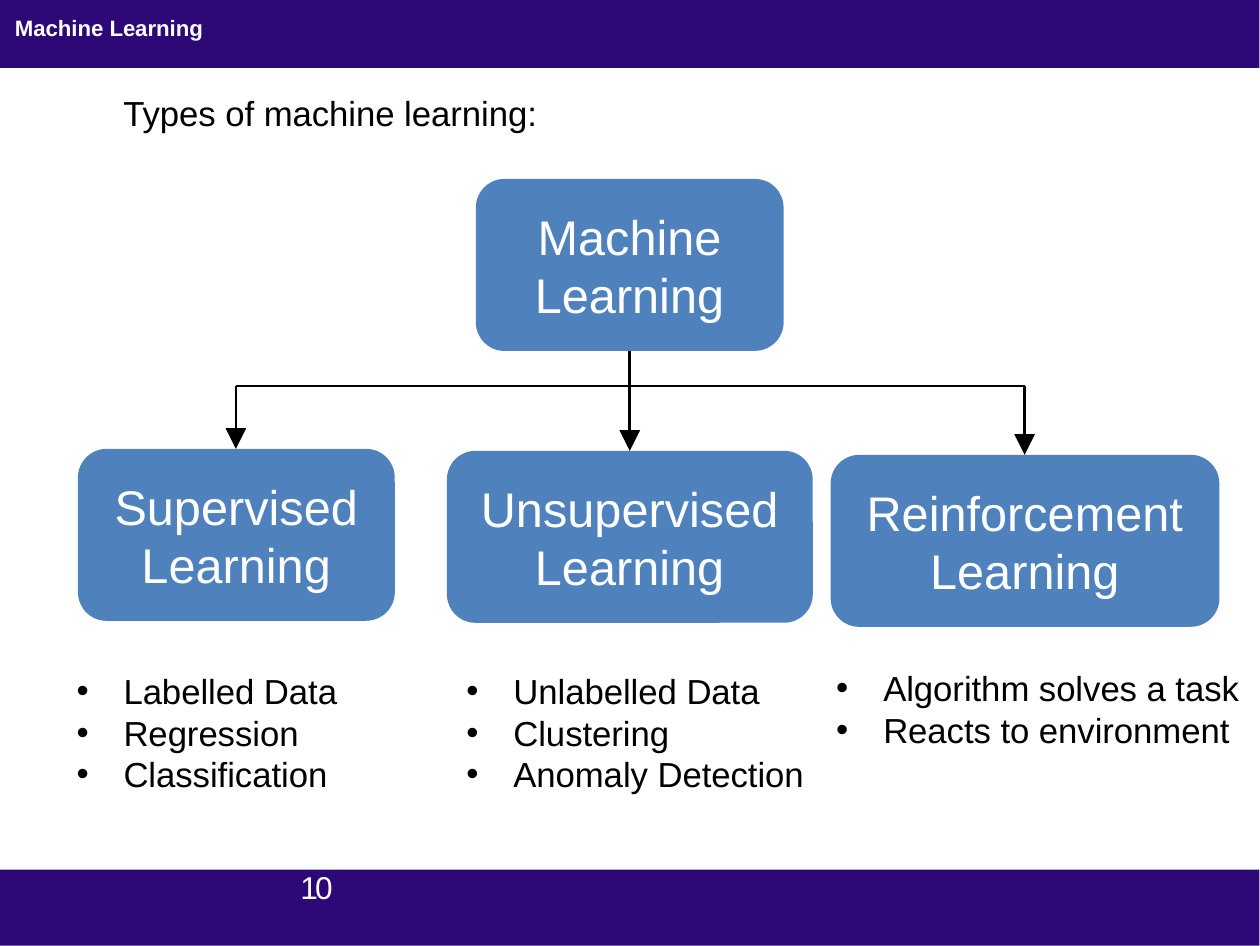
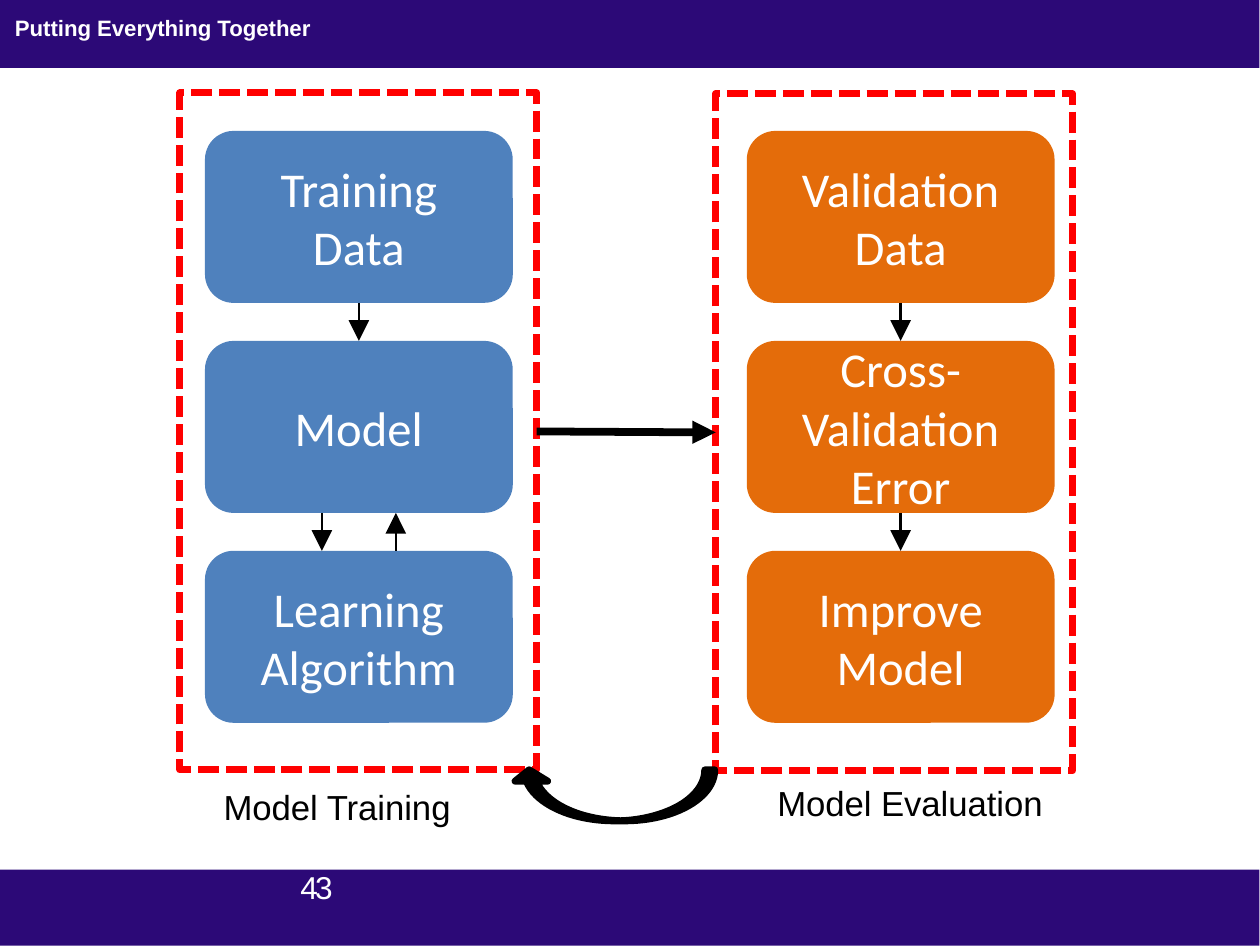
"""Build two slides on the types and the workflow of machine learning."""
from lxml import etree
from pptx import Presentation
from pptx.dml.color import RGBColor
from pptx.enum.dml import MSO_LINE
from pptx.enum.shapes import MSO_CONNECTOR, MSO_SHAPE
from pptx.enum.text import MSO_ANCHOR, MSO_AUTO_SIZE, PP_ALIGN
from pptx.oxml.ns import qn
from pptx.util import Emu, Pt

RECT, ROUND = MSO_SHAPE.RECTANGLE, MSO_SHAPE.ROUNDED_RECTANGLE
CURVED = MSO_SHAPE.CURVED_DOWN_ARROW
STRAIGHT, DASH = MSO_CONNECTOR.STRAIGHT, MSO_LINE.SQUARE_DOT
LEFT, CENTER, RIGHT = PP_ALIGN.LEFT, PP_ALIGN.CENTER, PP_ALIGN.RIGHT
TOP, MIDDLE = MSO_ANCHOR.TOP, MSO_ANCHOR.MIDDLE
SITE_TOP, SITE_LEFT, SITE_BOTTOM, SITE_RIGHT = range(4)

EMU_PER_PX = 914400 / 250
SLIDE_W, SLIDE_H = Pt(363), Pt(272.5)
INDIGO, BLUE, ORANGE, RED = "2C0977", "4F81BD", "E46C0A", "FF0000"
BLACK, WHITE = "000000", "FFFFFF"
BANDS = [(0, 0, 1260, 68), (0, 870, 1260, 76)]
TITLE_BOX, PAGE_BOX = (15, 14, 1230, 35), (43, 879, 290, 28)
INSETS = (25, 12, 25, 12)

TYPES_TITLE, TYPES_PAGE = "Machine Learning", "10"
TYPES_INTRO = "Types of machine learning:"
ROOT = ("Machine Learning", (476, 179, 308, 172))
BUS_Y = 386
TYPES = [
    ("Supervised Learning", (78, 449, 317, 172), (52, 658, 343, 152),
     ["Labelled Data", "Regression", "Classification"]),
    ("Unsupervised Learning", (447, 451, 366, 172), (442, 658, 390, 152),
     ["Unlabelled Data", "Clustering", "Anomaly Detection"]),
    ("Reinforcement Learning", (831, 455, 389, 172), (812, 655, 448, 110),
     ["Algorithm solves a task", "Reacts to environment"]),
]

FLOW_TITLE, FLOW_PAGE = "Putting Everything Together", "43"
STEP_TOP, STEP_PITCH, STEP_W, STEP_H = 131, 210, 308, 172
LOOP_OFFSET = 37
STAGES = [
    (BLUE, 205, (180, 93, 357, 677), "Model Training", (199, 774, 320, 68),
     ["Training Data", "Model", "Learning Algorithm"]),
    (ORANGE, 747, (716, 94, 357, 677), "Model Evaluation", (753, 770, 320, 68),
     ["Validation Data", "Cross-Validation Error", "Improve Model"]),
]
RETURN_BOX, RETURN_ADJ = (513, 770, 202, 51), (0.196, 0.639, 0.222)


def px(n):
    return Emu(round(n * EMU_PER_PX))


def rgb(color):
    return RGBColor.from_string(color)


def write(sp, text, size=10, font="Arial", color=BLACK, bold=False, align=LEFT,
          anchor=TOP, insets=INSETS, bullet=False, line=None, spacing=None):
    tf = sp.text_frame
    tf.word_wrap, tf.auto_size, tf.vertical_anchor = True, MSO_AUTO_SIZE.NONE, anchor
    tf.margin_left, tf.margin_top, tf.margin_right, tf.margin_bottom = map(px, insets)
    for i, item in enumerate([text] if isinstance(text, str) else text):
        p = tf.add_paragraph() if i else tf.paragraphs[0]
        p.alignment = align
        if line:
            p.line_spacing = Pt(line)
        if bullet:
            pPr = p._p.get_or_add_pPr()
            pPr.set("marL", str(px(47)))
            pPr.set("indent", str(px(-47)))
            etree.SubElement(pPr, qn("a:buFont"), typeface="Arial")
            etree.SubElement(pPr, qn("a:buChar"), char="•")
        r = p.add_run()
        r.text = item
        r.font.size, r.font.name, r.font.bold = Pt(size), font, bold
        r.font.color.rgb = rgb(color)
        if spacing:
            r.font._element.set("spc", str(spacing))


def text_box(s, box, text, **fmt):
    write(s.shapes.add_textbox(*map(px, box)), text, **fmt)


def shape(s, kind, box, fill=None, line=None):
    sp = s.shapes.add_shape(kind, *map(px, box))
    sp.shadow.inherit = False
    if fill:
        sp.fill.solid()
        sp.fill.fore_color.rgb = rgb(fill)
    else:
        sp.fill.background()
    if line:
        sp.line.color.rgb, sp.line.width = rgb(line), Pt(2)
    else:
        sp.line.fill.background()
    return sp


def node(s, box, text, fill, font="Arial"):
    sp = shape(s, ROUND, box, fill)
    write(sp, text, size=14, font=font, color=WHITE, align=CENTER, anchor=MIDDLE)
    return sp


def connect(s, x1, y1, x2, y2, width=0.75, arrow=True):
    c = s.shapes.add_connector(STRAIGHT, *map(px, (x1, y1, x2, y2)))
    c.line.color.rgb, c.line.width = rgb(BLACK), Pt(width)
    if arrow:
        etree.SubElement(c.line._get_or_add_ln(), qn("a:tailEnd"), type="triangle")
    etree.SubElement(c._element.spPr, qn("a:effectLst"))
    return c


def link(s, a, a_site, b, b_site, width=0.75):
    c = connect(s, 0, 0, 0, 0, width)
    c.begin_connect(a, a_site)
    c.end_connect(b, b_site)


def add_bands(s, layout):
    for box in BANDS:
        layout.shapes.element.append(shape(s, RECT, box, INDIGO).element)


def add_slide(prs, layout, title, page):
    s = prs.slides.add_slide(layout)
    sp = s.shapes.title
    sp.left, sp.top, sp.width, sp.height = map(px, TITLE_BOX)
    write(sp, title, size=6.4, color=WHITE, bold=True, insets=(0, 0, 0, 0))
    text_box(s, PAGE_BOX, page, size=9.1, color=WHITE, align=RIGHT,
             insets=(0, 0, 0, 0), line=7.7, spacing=-80)
    return s


def draw_types(s):
    text_box(s, (99, 80, 1062, 788), TYPES_INTRO)
    root = node(s, ROOT[1], ROOT[0], BLUE)
    centers = []
    for i, (name, box, list_box, items) in enumerate(TYPES):
        sp = node(s, box, name, BLUE)
        x = box[0] + box[2] // 2
        centers.append(x)
        if i == 1:
            link(s, root, SITE_BOTTOM, sp, SITE_TOP)
        else:
            connect(s, x, BUS_Y, x, box[1])
        text_box(s, list_box, items, bullet=True, insets=(25, 12, 0, 12))
    connect(s, centers[0], BUS_Y, centers[-1], BUS_Y, arrow=False)


def draw_flow(s):
    frames = []
    for fill, x, frame_box, label, label_box, steps in STAGES:
        frame = shape(s, RECT, frame_box, line=RED)
        frame.line.dash_style = DASH
        frames.append(frame)
        text_box(s, label_box, label)
        nodes = [node(s, (x, STEP_TOP + i * STEP_PITCH, STEP_W, STEP_H), step, fill, "Calibri")
                 for i, step in enumerate(steps)]
        link(s, nodes[0], SITE_BOTTOM, nodes[1], SITE_TOP)
        if fill == ORANGE:
            link(s, nodes[1], SITE_BOTTOM, nodes[2], SITE_TOP)
        else:
            mid, low = x + STEP_W // 2, STEP_TOP + 2 * STEP_PITCH
            high = low - STEP_PITCH + STEP_H
            connect(s, mid - LOOP_OFFSET, high, mid - LOOP_OFFSET, low)
            connect(s, mid + LOOP_OFFSET, low, mid + LOOP_OFFSET, high)
    link(s, frames[0], SITE_RIGHT, frames[1], SITE_LEFT, 2.25)
    back = shape(s, CURVED, RETURN_BOX, BLACK, BLACK)
    back.rotation = 180
    for i, value in enumerate(RETURN_ADJ):
        back.adjustments[i] = value


def main():
    prs = Presentation()
    prs.slide_width, prs.slide_height = SLIDE_W, SLIDE_H
    layout = prs.slide_layouts[5]
    types = add_slide(prs, layout, TYPES_TITLE, TYPES_PAGE)
    add_bands(types, layout)
    draw_types(types)
    draw_flow(add_slide(prs, layout, FLOW_TITLE, FLOW_PAGE))
    prs.save("out.pptx")


if __name__ == "__main__":
    main()
